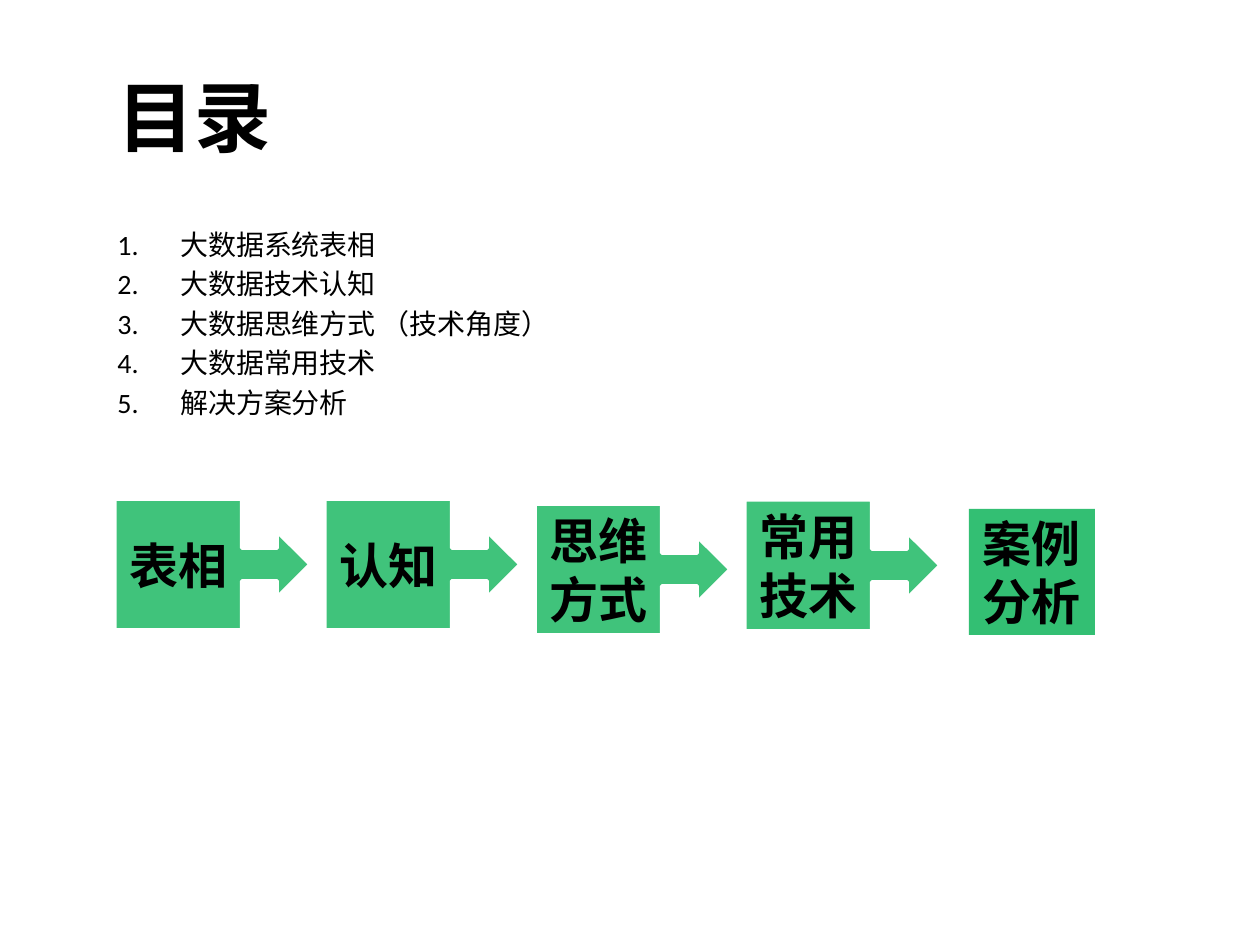
from lxml import etree
from pptx import Presentation
from pptx.dml.color import RGBColor
from pptx.enum.shapes import MSO_SHAPE
from pptx.enum.text import MSO_ANCHOR, PP_ALIGN
from pptx.oxml.ns import qn
from pptx.util import Emu, Pt

CALLOUT = MSO_SHAPE.RIGHT_ARROW_CALLOUT
RECTANGLE = MSO_SHAPE.RECTANGLE
TOP, MIDDLE = MSO_ANCHOR.TOP, MSO_ANCHOR.MIDDLE
LEFT, CENTER = PP_ALIGN.LEFT, PP_ALIGN.CENTER

BLACK = RGBColor(0, 0, 0)
WHITE = RGBColor(255, 255, 255)
GREEN = RGBColor(0, 176, 80)
FONT = "Calibri"
SCALE = 914400 // 126
INDENT = 63

TITLE = "目录"
AGENDA = [
    "大数据系统表相",
    "大数据技术认知",
    "大数据思维方式 （技术角度）",
    "大数据常用技术",
    "解决方案分析",
]
STEPS = [("表相", 499), ("认知", 499), ("思维方式", 504), ("常用技术", 500)]
STEP_LEFT, STEP_PITCH, STEP_SIZE = 115, 210, (195, 131)
RESULT, RESULT_BOX = "案例分析", (969, 509, 126, 126)


def px(*lengths):
    return [Emu(length * SCALE) for length in lengths]


def write(shape, *lines, size, bold=False, align=LEFT, anchor=MIDDLE,
          numbered=False, space_before=0):
    frame = shape.text_frame
    frame.word_wrap = True
    frame.vertical_anchor = anchor
    for index, line in enumerate(lines):
        paragraph = frame.add_paragraph() if index else frame.paragraphs[0]
        paragraph.alignment = align
        paragraph.space_before = Pt(space_before)
        run = paragraph.add_run()
        run.text = line
        run.font.name = FONT
        run.font.size = Pt(size)
        run.font.bold = bold
        run.font.color.rgb = BLACK
        etree.SubElement(run._r.get_or_add_rPr(), qn("a:ea"), typeface=FONT)
        if numbered:
            properties = paragraph._p.get_or_add_pPr()
            indent = INDENT * SCALE
            properties.set("marL", str(indent))
            properties.set("indent", str(-indent))
            etree.SubElement(properties, qn("a:buFont"), typeface=FONT)
            etree.SubElement(properties, qn("a:buAutoNum"), type="arabicPeriod")


def add_step(slide, kind, box, text, opacity):
    shape = slide.shapes.add_shape(kind, *px(*box))
    shape.shadow.inherit = False
    shape.fill.solid()
    shape.fill.fore_color.rgb = GREEN
    color = shape.fill._xPr.find(qn("a:solidFill"))[0]
    etree.SubElement(color, qn("a:alpha"), val=str(opacity * 1000))
    write(shape, text, size=28, bold=True, align=CENTER)
    return shape


presentation = Presentation()
presentation.slide_width, presentation.slide_height = px(1260, 945)
slide = presentation.slides.add_slide(presentation.slide_layouts[6])

title = slide.shapes.add_textbox(*px(105, 37, 1113, 158))
write(title, TITLE, size=44, bold=True)
agenda = slide.shapes.add_textbox(*px(105, 221, 1113, 592))
write(agenda, *AGENDA, size=16, anchor=TOP, numbered=True, space_before=3.4)

for index, (text, top) in enumerate(STEPS):
    box = (STEP_LEFT + index * STEP_PITCH, top, *STEP_SIZE)
    step = add_step(slide, CALLOUT, box, text, 75)
    step.line.color.rgb = WHITE
    step.line.width = Pt(2)

result = add_step(slide, RECTANGLE, RESULT_BOX, RESULT, 80)
result.line.fill.background()

presentation.save("out.pptx")
